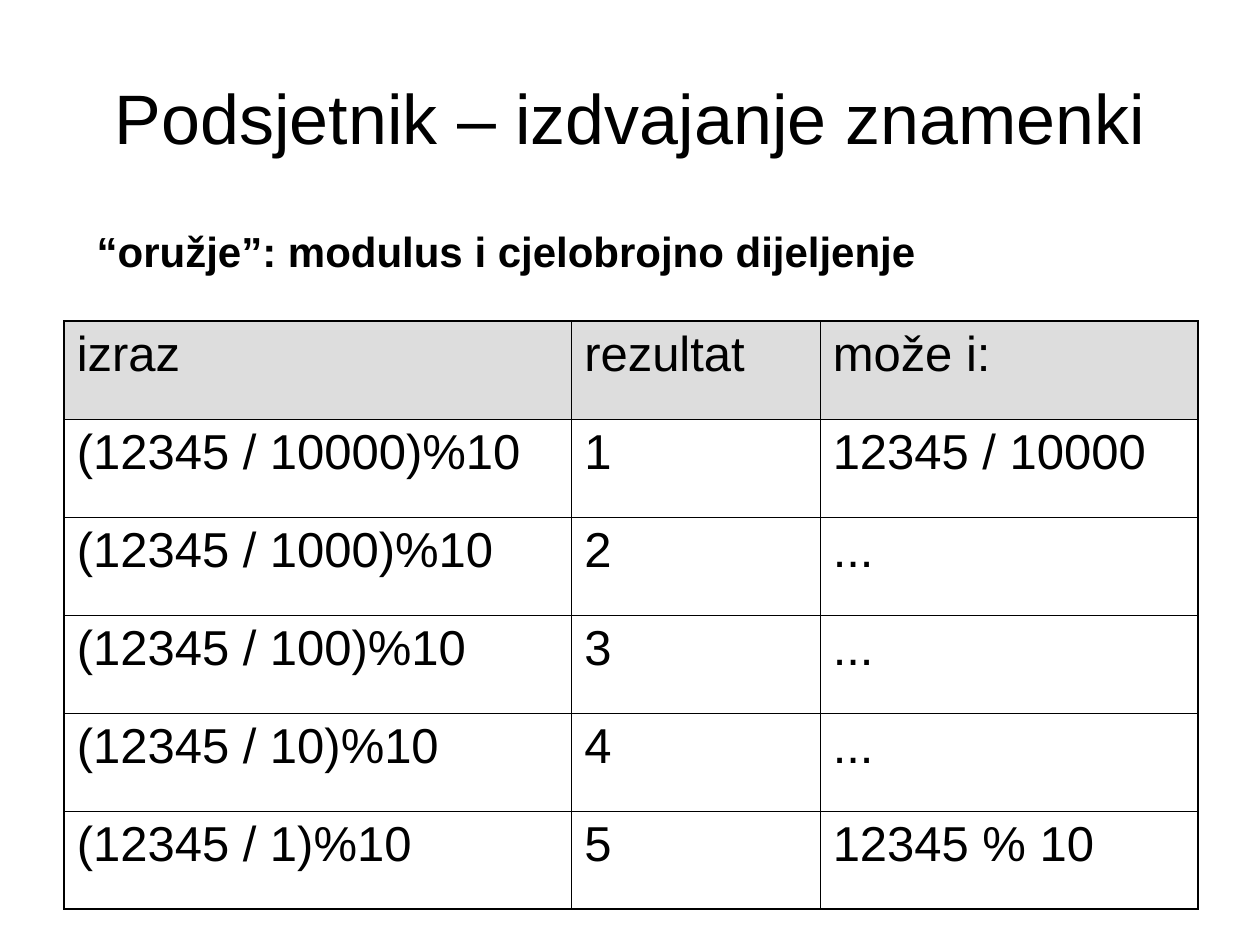
"""Build a slide that recalls how to extract the digits of a number."""
from dataclasses import dataclass

from lxml.etree import SubElement
from pptx import Presentation
from pptx.dml.color import RGBColor
from pptx.enum.text import MSO_ANCHOR, PP_ALIGN
from pptx.oxml.ns import qn
from pptx.util import Pt


@dataclass(frozen=True)
class Theme:
    font: str = "Arial"
    ink: str = "000000"
    head: str = "DDDDDD"
    title: float = 40
    lead: float = 24
    body: float = 28
    outer: float = 1.08
    inner: float = 0.45


THEME = Theme()
WIDTHS = (290, 142, 216)
HEIGHT = 56
ROWS = (
    ("izraz", "rezultat", "može i:"),
    ("(12345 / 10000)%10", "1", "12345 / 10000"),
    ("(12345 / 1000)%10", "2", "..."),
    ("(12345 / 100)%10", "3", "..."),
    ("(12345 / 10)%10", "4", "..."),
    ("(12345 / 1)%10", "5", "12345 % 10"),
)


def write(frame, text, size=THEME.body, bold=False, align=PP_ALIGN.LEFT):
    """Put formatted text into a text frame."""
    para = frame.paragraphs[0]
    para.alignment = align
    run = para.add_run()
    run.text = text
    font = run.font
    font.name, font.size, font.bold = THEME.font, Pt(size), bold
    font.color.rgb = RGBColor.from_string(THEME.ink)


def add_text(slide, text, area, anchor=MSO_ANCHOR.TOP, top=3.6, low=3.6, **style):
    """Add a wrapping text box at the given area."""
    frame = slide.shapes.add_textbox(*map(Pt, area)).text_frame
    frame.word_wrap = True
    frame.vertical_anchor = anchor
    frame.margin_top, frame.margin_bottom = Pt(top), Pt(low)
    write(frame, text, **style)


def add_edge(cell, side, width):
    """Draw one border line of a cell."""
    props = cell._tc.get_or_add_tcPr()
    line = SubElement(props, qn(f"a:ln{side}"), w=str(Pt(width)))
    fill = SubElement(line, qn("a:solidFill"))
    SubElement(fill, qn("a:srgbClr"), val=THEME.ink)


def add_grid(slide, left, top):
    """Add the table with a thicker outer frame."""
    last_row, last_col = len(ROWS) - 1, len(WIDTHS) - 1
    area = (left, top, sum(WIDTHS), HEIGHT * len(ROWS))
    table = slide.shapes.add_table(len(ROWS), len(WIDTHS), *map(Pt, area)).table
    table.first_row = table.horz_banding = False
    for col, width in zip(table.columns, WIDTHS):
        col.width = Pt(width)
    for i, texts in enumerate(ROWS):
        table.rows[i].height = Pt(HEIGHT)
        for j, text in enumerate(texts):
            cell = table.cell(i, j)
            write(cell.text_frame, text)
            edges = {"L": j == 0, "R": j == last_col, "T": i == 0, "B": i == last_row}
            for side, outer in edges.items():
                add_edge(cell, side, THEME.outer if outer else THEME.inner)
            if i == 0:
                cell.fill.solid()
                cell.fill.fore_color.rgb = RGBColor.from_string(THEME.head)
            else:
                cell.fill.background()


def main():
    """Build the slide and save it."""
    deck = Presentation()
    deck.slide_width, deck.slide_height = Pt(720), Pt(540)
    slide = deck.slides.add_slide(deck.slide_layouts[6])
    add_text(slide, "Podsjetnik – izdvajanje znamenki", (36, 21.6, 648, 90),
             anchor=MSO_ANCHOR.MIDDLE, size=THEME.title, align=PP_ALIGN.CENTER)
    add_grid(slide, 36.7, 183.6)
    add_text(slide, "“oružje”: modulus i cjelobrojno dijeljenje",
             (48.2, 122.4, 623.5, 36), top=6.6, low=1, size=THEME.lead, bold=True)
    deck.save("out.pptx")


if __name__ == "__main__":
    main()
